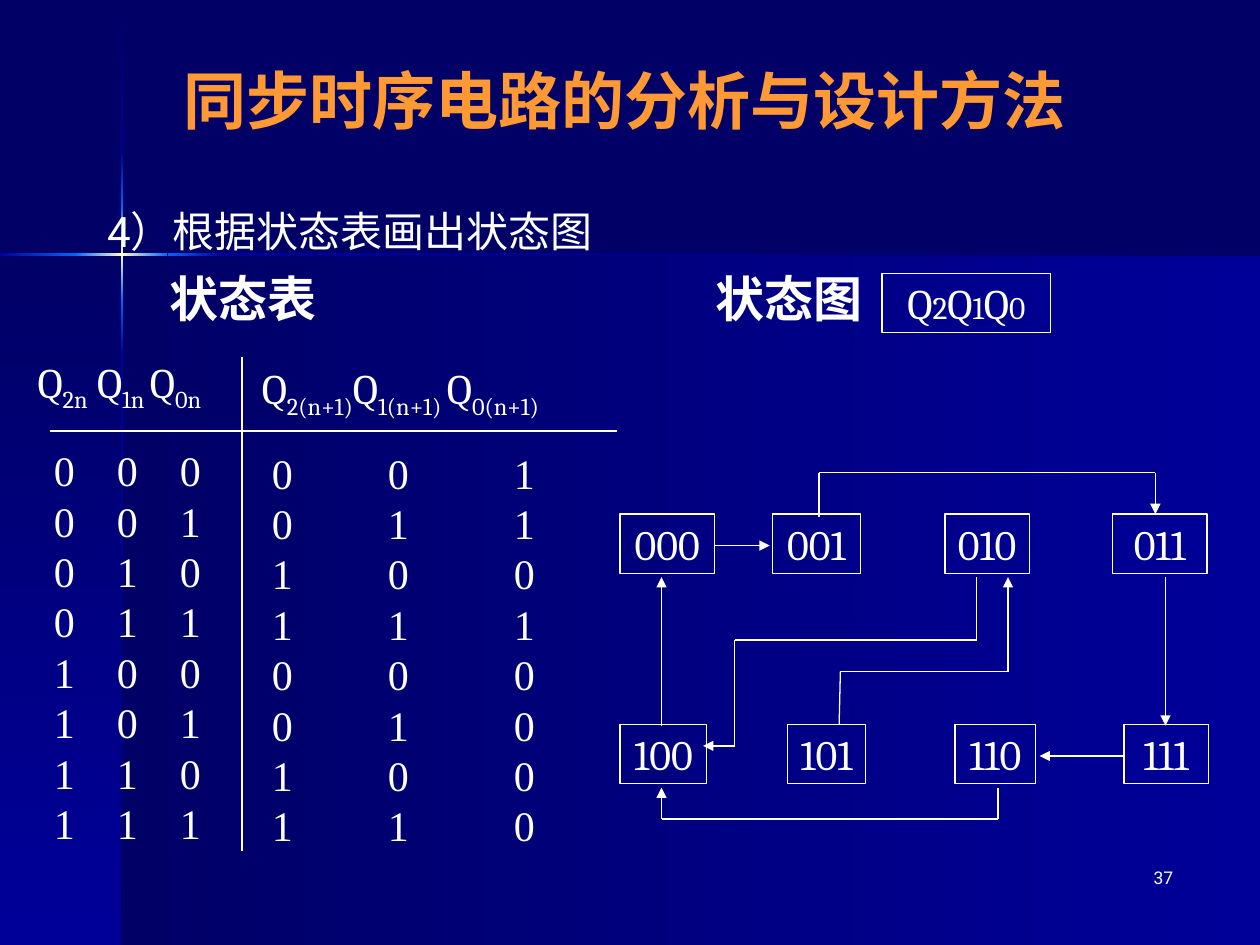
from copy import deepcopy
from dataclasses import dataclass

from lxml import etree
from pptx import Presentation
from pptx.dml.color import RGBColor
from pptx.enum.shapes import MSO_CONNECTOR, MSO_SHAPE
from pptx.enum.text import MSO_ANCHOR, MSO_AUTO_SIZE, PP_ALIGN
from pptx.oxml.ns import qn
from pptx.util import Inches, Pt

RECT = MSO_SHAPE.RECTANGLE
LINE = MSO_CONNECTOR.STRAIGHT
TOP, MIDDLE = MSO_ANCHOR.TOP, MSO_ANCHOR.MIDDLE
LEFT, CENTER, RIGHT = PP_ALIGN.LEFT, PP_ALIGN.CENTER, PP_ALIGN.RIGHT
NO_FIT = MSO_AUTO_SIZE.NONE

NAVY = RGBColor(0x00, 0x00, 0x66)
BLUE = RGBColor(0x00, 0x00, 0x99)
GLOW = RGBColor(0x00, 0x66, 0xFF)
CREAM = RGBColor(0xFF, 0xFF, 0xCC)
WHITE = RGBColor(0xFF, 0xFF, 0xFF)
ORANGE = RGBColor(0xFF, 0x99, 0x33)

SANS, SERIF, TIMES = "Roboto", "Cambria", "Times New Roman"


@dataclass
class Box:
    left: float
    top: float
    width: float
    height: float

    def place(self) -> tuple:
        return tuple(Inches(v) for v in (self.left, self.top, self.width, self.height))


@dataclass
class Band:
    box: Box
    colors: tuple
    down: bool


@dataclass
class Part:
    text: str
    size: int = 24
    sub: bool = False


@dataclass
class Style:
    font: str
    size: int = 24
    color: RGBColor = WHITE
    bold: bool = False
    align: PP_ALIGN = LEFT


BANDS = [
    Band(Box(0.97, 2.02, 9.03, 5.48), (NAVY, BLUE), False),
    Band(Box(0, 2.02, 0.97, 5.48), (NAVY, BLUE), True),
    Band(Box(0.96, 0.01, 0.02, 1.2), (NAVY, BLUE), True),
    Band(Box(0.96, 2.82, 0.02, 4.68), (BLUE, NAVY), True),
    Band(Box(1.77, 2.01, 8.23, 0.02), (BLUE, NAVY), False),
    Band(Box(0.96, 2.38, 0.02, 0.44), (GLOW, BLUE), True),
    Band(Box(0.96, 1.21, 0.02, 0.44), (BLUE, GLOW), True),
    Band(Box(0.96, 1.65, 0.02, 0.73), (GLOW, CREAM, GLOW), True),
    Band(Box(0, 2.01, 0.61, 0.02), (BLUE, GLOW), False),
    Band(Box(1.33, 2.01, 0.44, 0.02), (GLOW, BLUE), False),
    Band(Box(0.6, 2.01, 0.73, 0.02), (GLOW, CREAM, GLOW), False),
]

# Next state of 000, 001, ... 111
NEXT = ["001", "011", "100", "111", "000", "010", "100", "110"]

NODES = {
    "000": Box(4.92, 4.08, 0.75, 0.47),
    "001": Box(6.13, 4.08, 0.7, 0.47),
    "010": Box(7.5, 4.08, 0.67, 0.47),
    "011": Box(8.83, 4.08, 0.75, 0.47),
    "100": Box(4.92, 5.75, 0.69, 0.47),
    "101": Box(6.25, 5.75, 0.62, 0.47),
    "110": Box(7.58, 5.75, 0.64, 0.47),
    "111": Box(8.92, 5.75, 0.67, 0.47),
}

ROUTES = [
    [(5.25, 5.76), (5.25, 4.58)],
    [(5.67, 4.33), (6.11, 4.33)],
    [(7.75, 4.58), (7.75, 5.08), (5.83, 5.08), (5.83, 5.92), (5.58, 5.92)],
    [(8.92, 6), (8.25, 6)],
    [(6.66, 5.75), (6.67, 5.33), (8, 5.33), (8, 4.58)],
    [(6.5, 4.1), (6.5, 3.75), (9.17, 3.75), (9.17, 4.08)],
    [(9.25, 4.58), (9.25, 5.76)],
    [(7.92, 6.25), (7.92, 6.5), (5.25, 6.5), (5.25, 6.25)],
]


def add_band(slide, band: Band) -> None:
    """Draw a gradient strip behind the title."""
    shape = slide.shapes.add_shape(RECT, *band.box.place())
    shape.shadow.inherit = False
    shape.line.fill.background()
    fill = shape.fill
    fill.gradient()
    fill.gradient_angle = 270 if band.down else 0
    if len(band.colors) == 3:
        stop = shape.element.spPr.find(".//" + qn("a:gs"))
        stop.addnext(deepcopy(stop))
    last = len(band.colors) - 1
    for i, (stop, color) in enumerate(zip(fill.gradient_stops, band.colors)):
        stop.position = i / last
        stop.color.rgb = color
    slide.shapes.title.element.addprevious(shape.element)


def format_runs(para, style: Style) -> None:
    para.alignment = style.align
    para.space_before = Pt(0)
    for run in para.runs:
        font = run.font
        font.name, font.size, font.bold = style.font, Pt(style.size), style.bold
        font.color.rgb = style.color


def add_parts(para, parts: list[Part], style: Style) -> None:
    """Set runs that differ in size or are lowered."""
    for part in parts:
        para.add_run().text = part.text
    format_runs(para, style)
    for run, part in zip(para.runs, parts):
        run.font.size = Pt(part.size)
        if part.sub:
            run.font._element.set("baseline", "-25000")


def add_text(slide, box: Box, text: str, style: Style):
    frame = slide.shapes.add_textbox(*box.place()).text_frame
    frame.word_wrap = True
    frame.text = text
    for para in frame.paragraphs:
        format_runs(para, style)
    return frame


def add_grid(slide, box: Box, rows: list[str], stops: tuple) -> None:
    """Set one digit per tab column."""
    frame = add_text(slide, box, "\n".join("\t".join(r) for r in rows), Style(TIMES))
    for para in frame.paragraphs:
        tabs = etree.SubElement(para._p.get_or_add_pPr(), qn("a:tabLst"))
        for stop in stops:
            etree.SubElement(tabs, qn("a:tab"), pos=str(Inches(stop)), algn="l")


def add_node(slide, box: Box, parts: list[Part]) -> None:
    shape = slide.shapes.add_shape(RECT, *box.place())
    shape.shadow.inherit = False
    shape.fill.background()
    shape.line.color.rgb, shape.line.width = WHITE, Pt(0.75)
    frame = shape.text_frame
    frame.word_wrap, frame.vertical_anchor = False, MIDDLE
    add_parts(frame.paragraphs[0], parts, Style(SERIF, align=CENTER))


def add_route(slide, points: list[tuple], arrow: bool = True) -> None:
    """Join the points with lines; the last one may end in an arrow."""
    for a, b in zip(points, points[1:]):
        wire = slide.shapes.add_connector(LINE, *(Inches(v) for v in a + b))
        wire.line.color.rgb, wire.line.width = WHITE, Pt(0.75)
        etree.SubElement(wire.element.spPr, qn("a:effectLst"))
    if arrow:
        line = wire.element.spPr.find(qn("a:ln"))
        etree.SubElement(line, qn("a:tailEnd"), type="triangle")


def set_holder(holder, box: Box, text: str, style: Style, anchor) -> None:
    holder.left, holder.top, holder.width, holder.height = box.place()
    frame = holder.text_frame
    frame.text = text
    frame.auto_size, frame.vertical_anchor = NO_FIT, anchor
    format_runs(frame.paragraphs[0], style)


def main() -> None:
    deck = Presentation()
    deck.slide_width, deck.slide_height = Inches(10), Inches(7.5)
    slide = deck.slides.add_slide(deck.slide_layouts[1])
    slide.background.fill.solid()
    slide.background.fill.fore_color.rgb = NAVY
    for band in BANDS:
        add_band(slide, band)

    set_holder(slide.shapes.title, Box(0.17, 0.33, 9.58, 0.92),
               "同步时序电路的分析与设计方法", Style(SANS, 36, ORANGE, True, CENTER), MIDDLE)
    body = slide.placeholders[1]
    set_holder(body, Box(0.75, 1.58, 8.67, 5.08), "4）根据状态表画出状态图", Style(SANS), TOP)
    props = body.text_frame.paragraphs[0]._p.get_or_add_pPr()
    props.set("marL", str(Inches(0.38)))
    props.set("indent", str(Inches(-0.38)))
    etree.SubElement(props, qn("a:buNone"))
    add_text(slide, Box(7.33, 6.83, 2.08, 0.5), "37", Style(SANS, 10, align=RIGHT))

    for left, text in ((1.25, "状态表"), (5.58, "状态图")):
        add_text(slide, Box(left, 2.08, 2, 0.57), text, Style(TIMES, 28, bold=True))

    add_route(slide, [(0.4, 3.42), (4.9, 3.42)], arrow=False)
    add_route(slide, [(1.92, 2.83), (1.92, 6.75)], arrow=False)
    heads = [
        (Box(0.2, 2.78, 1.77, 0.56), ["Q", "2n", " Q", "1n ", "Q", "0n"]),
        (Box(1.98, 2.83, 3.1, 0.56), ["Q", "2(n+1)", "Q", "1(n+1) ", "Q", "0(n+1)"]),
    ]
    for box, words in heads:
        frame = add_text(slide, box, "", Style(SERIF))
        parts = [Part(word, sub="Q" not in word) for word in words]
        add_parts(frame.paragraphs[0], parts, Style(SERIF))
    add_grid(slide, Box(0.33, 3.48, 1.5, 3.3), [f"{i:03b}" for i in range(8)], (0.5, 1))
    add_grid(slide, Box(2.06, 3.5, 2.67, 3.3), NEXT, (0.92, 1.92))

    for text, box in NODES.items():
        add_node(slide, box, [Part(text)])
    add_node(slide, Box(7, 2.17, 1.34, 0.47),
             [Part(c, 24 if c == "Q" else 18) for c in "Q2Q1Q0"])
    for points in ROUTES:
        add_route(slide, points)
    deck.save("out.pptx")


if __name__ == "__main__":
    main()
